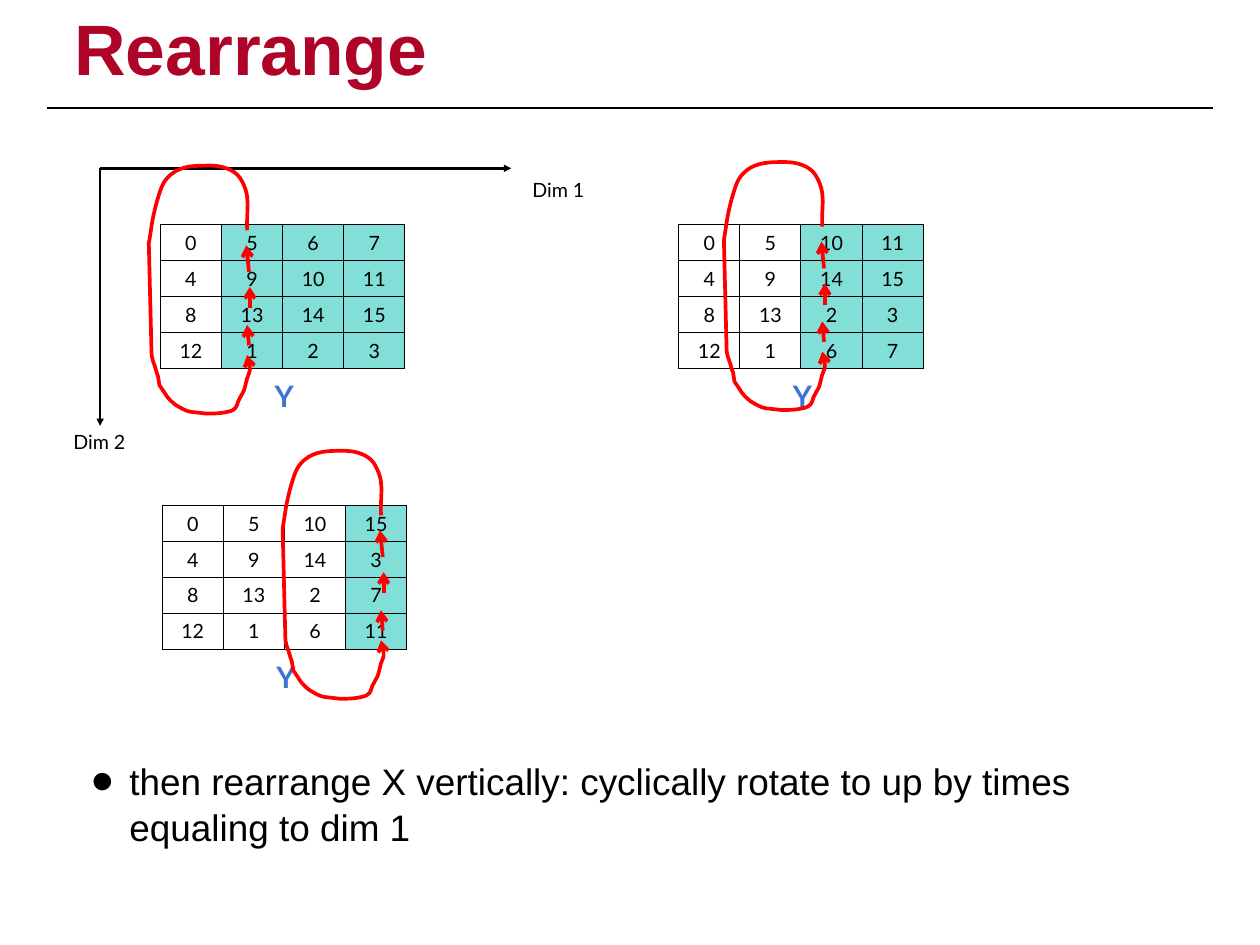
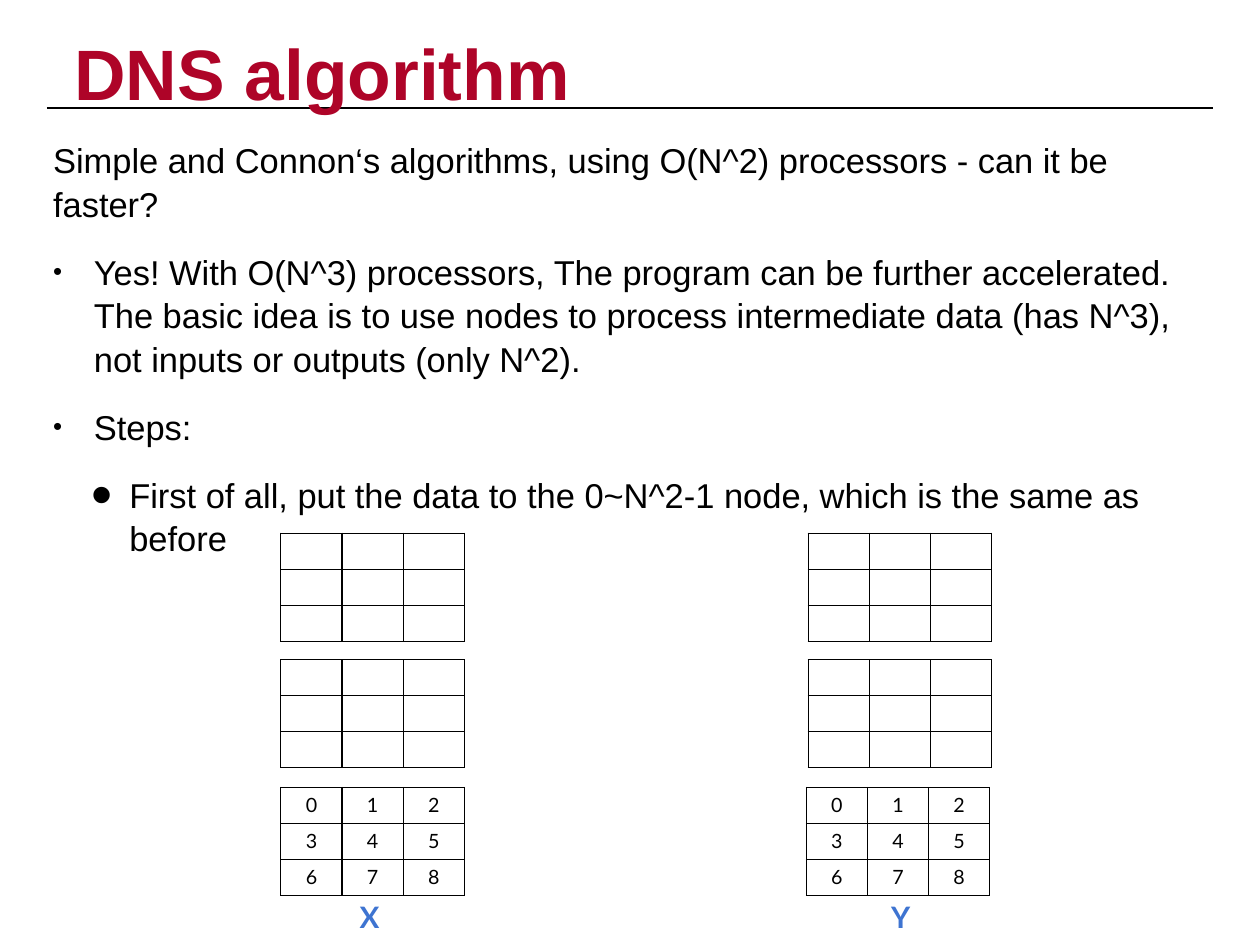
"""Build two slides on matrix rearrangement and the DNS algorithm."""
from dataclasses import dataclass
from typing import Any, NamedTuple, Optional

from lxml.etree import SubElement
from pptx import Presentation
from pptx.dml.color import RGBColor
from pptx.enum.shapes import MSO_CONNECTOR
from pptx.enum.text import MSO_ANCHOR, MSO_AUTO_SIZE, PP_ALIGN
from pptx.oxml.ns import qn
from pptx.util import Pt


@dataclass(frozen=True)
class Theme:
    red: str = "AE0428"
    black: str = "000000"
    blue: str = "3E74D1"
    teal: str = "82DFD7"
    loop: str = "FF0000"
    head_font: str = "Arial"
    cell_font: str = "Lato"
    title_size: int = 58
    label_size: int = 24
    cell_size: int = 16
    rule_width: int = 2
    loop_width: int = 3


class Label(NamedTuple):
    text: str
    x: int
    y: int
    w: int = 39
    h: int = 50


class Bullet(NamedTuple):
    text: str
    size: int
    level: int = 0
    indent: int = 0
    hang: int = 0
    percent: int = 0


class Step(NamedTuple):
    x: int
    y: int
    loop_dx: int
    loop_dy: int


THEME = Theme()
EMU_PER_PX = 9144
COL_W = 69
LOOP = (
    (279, 260),
    (278, 234), (284, 222), (271, 201),
    (264, 191), (250, 187), (237, 187),
    (220, 187), (205, 187), (193, 197),
    (183, 205), (181, 215), (177, 228),
    (171, 251), (172, 251), (168, 275),
    (169, 315), (170, 355), (171, 395),
    (171, 407), (173, 406), (177, 421),
    (179, 425), (179, 430), (180, 435),
    (190, 449), (187, 448), (198, 457),
    (203, 460), (209, 464), (215, 465),
    (223, 466), (225, 466), (233, 467),
    (241, 467), (249, 467), (257, 465),
    (267, 463), (267, 459), (269, 453),
    (277, 437), (274, 447), (279, 427),
    (283, 417), (283, 413), (279, 401),
)
UP_ARROWS = ((281, 307, 278, 277), (282, 348, 282, 324), (281, 390, 279, 367))
STEPS = (Step(181, 254, 0, 0), Step(766, 254, 649, -4), Step(183, 571, 151, 322))


def px(n: int) -> int:
    """Turn px into EMU."""
    return n * EMU_PER_PX


def assign(obj: Any, **values: Any) -> None:
    """Set each given attribute on an object."""
    for name, value in values.items():
        setattr(obj, name, value)


def place(sp: Any, x: int, y: int, w: int, h: int) -> None:
    """Set the box of a shape."""
    assign(sp, left=px(x), top=px(y), width=px(w), height=px(h))


def write(p: Any, text: str, font: str, size: int, color: str, bold: bool = False) -> None:
    """Add one formatted run to a paragraph."""
    r = p.add_run()
    r.text = text
    assign(r.font, name=font, size=Pt(size), bold=bold)
    r.font.color.rgb = RGBColor.from_string(color)


def style_line(sp: Any, color: str, width: int, head: Optional[str] = None) -> None:
    """Set line colour, width and end arrowhead."""
    sp.line.color.rgb = RGBColor.from_string(color)
    sp.line.width = Pt(width)
    if head:
        SubElement(sp._element.spPr.find(qn("a:ln")), qn("a:tailEnd"), type=head)


def add_line(shapes: Any, ends: tuple, color: str, width: int, head: Optional[str] = None) -> Any:
    """Draw a straight line without shadow."""
    sp = shapes.add_connector(MSO_CONNECTOR.STRAIGHT, *map(px, ends))
    style_line(sp, color, width, head)
    SubElement(sp._element.spPr, qn("a:effectLst"))
    return sp


def add_label(shapes: Any, label: Label, size: int, color: str, bold: bool = False) -> None:
    """Add a short unwrapped text."""
    sp = shapes.add_textbox(*map(px, label[1:]))
    assign(sp.text_frame, word_wrap=False, auto_size=MSO_AUTO_SIZE.SHAPE_TO_FIT_TEXT)
    write(sp.text_frame.paragraphs[0], label.text, THEME.cell_font, size, color, bold)


def add_name(shapes: Any, text: str, x: int, y: int) -> None:
    """Add the blue name of a matrix."""
    add_label(shapes, Label(text, x, y), THEME.label_size, THEME.blue, True)


def border_cell(cell: Any) -> None:
    """Put a thin black border round a cell."""
    tcPr = cell._tc.get_or_add_tcPr()
    for i, side in enumerate(("lnL", "lnR", "lnT", "lnB")):
        ln = SubElement(tcPr, qn(f"a:{side}"), w=str(Pt(1)))
        fill = SubElement(ln, qn("a:solidFill"))
        SubElement(fill, qn("a:srgbClr"), val=THEME.black)
        tcPr.insert(i, ln)


def add_matrix(shapes: Any, x: int, y: int, height: int, rows: list, fill_from: int = 99) -> None:
    """Draw a square matrix, filling columns from fill_from on."""
    n = len(rows)
    table = shapes.add_table(n, n, px(x), px(y), px(COL_W * n), px(height)).table
    assign(table, first_row=False, horz_banding=False)
    for col in table.columns:
        col.width = px(COL_W)
    for row, values in zip(table.rows, rows):
        row.height = px(height) // n
        for c, (cell, value) in enumerate(zip(row.cells, values)):
            assign(cell, vertical_anchor=MSO_ANCHOR.MIDDLE, margin_top=px(2), margin_bottom=px(2))
            if c >= fill_from:
                cell.fill.solid()
                cell.fill.fore_color.rgb = RGBColor.from_string(THEME.teal)
            else:
                cell.fill.background()
            border_cell(cell)
            if value is not None:
                p = cell.text_frame.paragraphs[0]
                p.alignment = PP_ALIGN.CENTER
                write(p, str(value), THEME.cell_font, THEME.cell_size, THEME.black)


def add_loop(shapes: Any, dx: int, dy: int) -> None:
    """Draw the upward rotation: a curved loop and three arrows."""
    grp = shapes.add_group_shape().shapes
    points = [(px(x + dx), px(y + dy)) for x, y in LOOP]
    fb = grp.build_freeform(*points[0])
    fb.add_line_segments(points[1:], close=False)
    sp = fb.convert_to_shape()
    sp.shadow.inherit = False
    sp.fill.background()
    style_line(sp, THEME.loop, THEME.loop_width, "arrow")
    outline = next(sp._element.iter(qn("a:path")))
    segments = outline.findall(qn("a:lnTo"))
    for i in range(0, len(segments), 3):
        curve = SubElement(outline, qn("a:cubicBezTo"))
        for segment in segments[i:i + 3]:
            curve.append(segment[0])
            outline.remove(segment)
    for x1, y1, x2, y2 in UP_ARROWS:
        ends = (x1 + dx, y1 + dy, x2 + dx, y2 + dy)
        add_line(grp, ends, THEME.loop, THEME.loop_width, "arrow")


def add_axes(shapes: Any) -> None:
    """Draw the two dimension axes with their labels."""
    grp = shapes.add_group_shape().shapes
    for x, y in ((113, 481), (577, 190)):
        add_line(grp, (113, 190, x, y), THEME.black, THEME.rule_width, "triangle")
    for label in (Label("Dim 2", 73, 481, 79, 37), Label("Dim 1", 591, 196, 79, 37)):
        add_label(grp, label, THEME.cell_size, THEME.black)


def set_bullet(p: Any, item: Bullet) -> None:
    """Set indents and the bullet of a list paragraph."""
    pPr = p._p.get_or_add_pPr()
    pPr.set("marL", str(px(item.indent)))
    pPr.set("indent", str(-px(item.hang)))
    if item.percent:
        SubElement(pPr, qn("a:buSzPct"), val=str(item.percent * 1000))
        SubElement(pPr, qn("a:buFont"), typeface=THEME.head_font)
        SubElement(pPr, qn("a:buChar"), char="•")
    else:
        SubElement(pPr, qn("a:buNone"))


def prepare_frame(sp: Any, anchor: Any) -> Any:
    """Set insets, wrapping and anchor of a placeholder."""
    tf = sp.text_frame
    sides = {f"margin_{side}": px(6) for side in ("left", "right", "top", "bottom")}
    assign(tf, word_wrap=True, auto_size=MSO_AUTO_SIZE.NONE, vertical_anchor=anchor, **sides)
    return tf


def add_slide(prs: Any, title: str, title_y: int, body_y: int, body_h: int, items: tuple) -> Any:
    """Add a slide with its title and list."""
    s = prs.slides.add_slide(prs.slide_layouts[1])
    head, body = s.placeholders
    place(head, 78, title_y, 1267, 93)
    p = prepare_frame(head, MSO_ANCHOR.MIDDLE).paragraphs[0]
    assign(p, alignment=PP_ALIGN.LEFT, line_spacing=0.7)
    write(p, title, THEME.head_font, THEME.title_size, THEME.red, True)
    place(body, 54, body_y, 1314, body_h)
    tf = prepare_frame(body, MSO_ANCHOR.TOP)
    for i, item in enumerate(items):
        p = tf.add_paragraph() if i else tf.paragraphs[0]
        assign(p, level=item.level, line_spacing=1.05, space_before=Pt(20))
        set_bullet(p, item)
        write(p, item.text, THEME.head_font, item.size, THEME.black)
    return s


def rotated(step: int, n: int = 4) -> list:
    """Rotate column c upward by at most step places."""
    return [[(r + min(c, step)) % n * n + c for c in range(n)] for r in range(n)]


def build_rearrange(prs: Any) -> Any:
    """Build the slide on vertical rotation."""
    text = "then rearrange X vertically: cyclically rotate to up by times equaling to dim 1"
    s = add_slide(prs, "Rearrange", 19, 848, 141, (Bullet(text, 30, 1, 86, 43, 175),))
    add_axes(s.shapes)
    for i, step in enumerate(STEPS, 1):
        add_name(s.shapes, "Y", step.x + 119, step.y + 168)
        add_matrix(s.shapes, step.x, step.y, 162, rotated(i), i)
    for step in STEPS:
        add_loop(s.shapes, step.loop_dx, step.loop_dy)
    return s


def build_dns(prs: Any) -> None:
    """Build the slide on the DNS algorithm."""
    items = (
        Bullet("Simple and Connon‘s algorithms, using O(N^2) processors - can it be faster?", 28),
        Bullet("Yes! With O(N^3) processors, The program can be further accelerated. "
               "The basic idea is to use nodes to process intermediate data (has N^3), "
               "not inputs or outputs (only N^2).", 28, 0, 46, 46, 75),
        Bullet("Steps:", 28, 0, 46, 46, 75),
        Bullet("First of all, put the data to the 0~N^2-1 node, which is the same as before",
               28, 1, 86, 43, 175),
    )
    s = add_slide(prs, "DNS algorithm", 47, 149, 840, items)
    empty = [[None] * 3 for _ in range(3)]
    numbers = [[3 * r + c for c in range(3)] for r in range(3)]
    for name, name_x, x, last_x in (("X", 396, 317, 317), ("Y", 996, 912, 910)):
        for k, (left, rows) in enumerate(((x, empty), (x, empty), (last_x, numbers))):
            add_matrix(s.shapes, left, 602 + 287 * k // 2, 122, rows)
        add_name(s.shapes, name, name_x, 1010)


def main() -> None:
    """Build and save the presentation."""
    prs = Presentation()
    assign(prs, slide_width=px(1422), slide_height=px(1067))
    s = build_rearrange(prs)
    rule = add_line(s.shapes, (53, 122, 1369, 122), THEME.black, THEME.rule_width)
    prs.slide_layouts[1].shapes._spTree.append(rule._element)
    build_dns(prs)
    prs.save("out.pptx")


if __name__ == "__main__":
    main()
